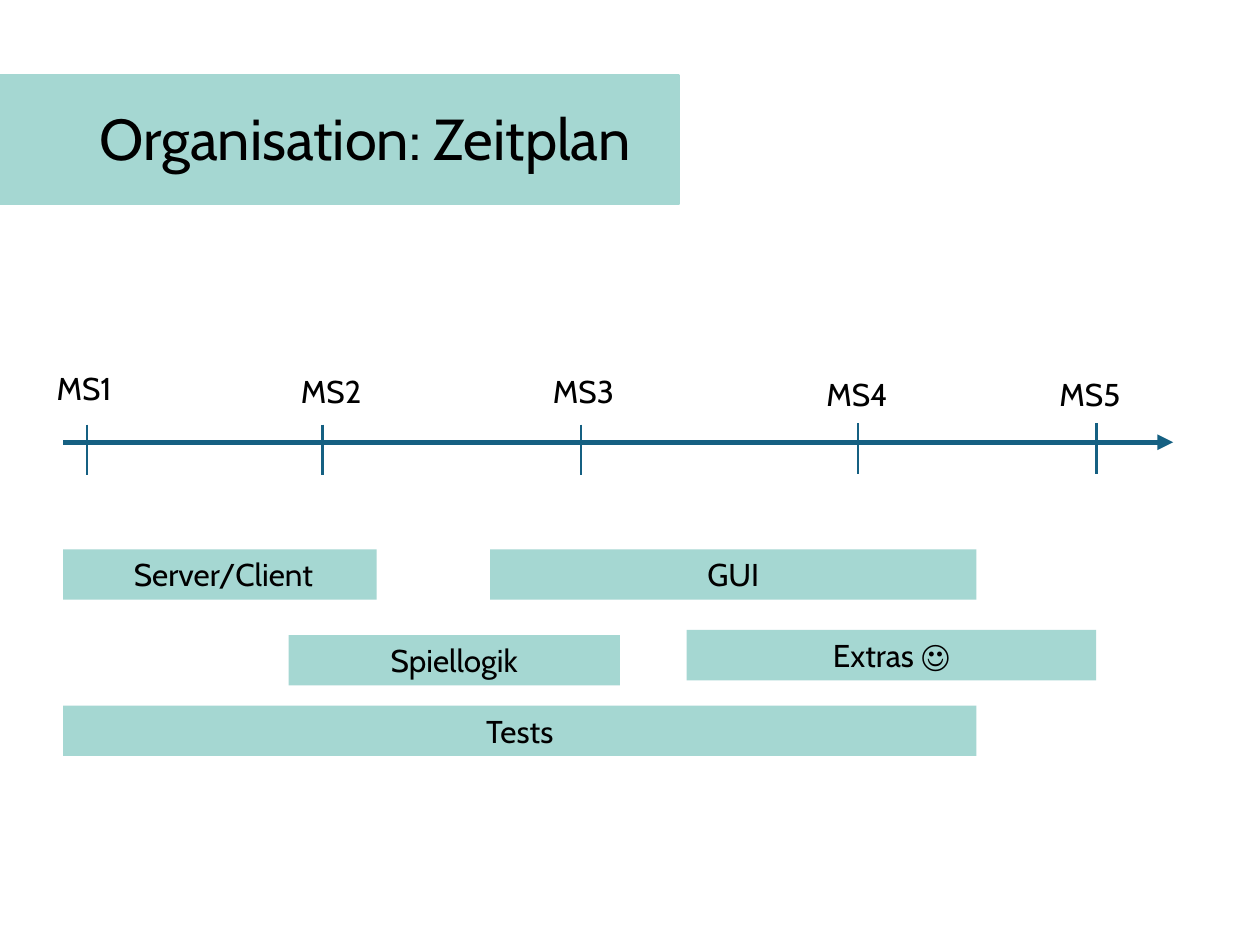
from lxml import etree
from pptx import Presentation
from pptx.dml.color import RGBColor
from pptx.enum.shapes import MSO_CONNECTOR, MSO_SHAPE
from pptx.enum.text import MSO_ANCHOR, MSO_AUTO_SIZE, PP_ALIGN
from pptx.oxml.ns import qn
from pptx.util import Inches, Pt

RECTANGLE = MSO_SHAPE.RECTANGLE
STRAIGHT = MSO_CONNECTOR.STRAIGHT
TOP, MIDDLE = MSO_ANCHOR.TOP, MSO_ANCHOR.MIDDLE
LEFT, CENTER = PP_ALIGN.LEFT, PP_ALIGN.CENTER
GROW = MSO_AUTO_SIZE.SHAPE_TO_FIT_TEXT

COLORS = {"mint": "A5D7D2", "axis": "156082", "text": "000000"}
FONT = "Cabin"
COLUMNS, ROWS = 100, 75
SLIDE_WIDTH, SLIDE_HEIGHT = Inches(10), Inches(7.5)

AXIS_START, AXIS_END, AXIS_ROW = 5, 93.1, 35.1
TICK_HEIGHT = 4
BAR_HEIGHT = 4

MILESTONES = [
    ("MS1", 6.9, 33.7, 3.5, 28.8, 7.1),
    ("MS2", 25.6, 33.7, 22.9, 29, 7),
    ("MS3", 46.1, 33.7, 42.9, 29, 7),
    ("MS4", 68.1, 33.6, 64.6, 29.3, 7),
    ("MS5", 87, 33.6, 83.1, 29.3, 7.9),
]
TASKS = [
    (" Server/Client", 5, 29.9, 43.6),
    ("Spiellogik", 22.9, 49.2, 50.4),
    ("GUI", 38.9, 77.5, 43.6),
    ("Tests", 5, 77.5, 56),
    ("Extras ☺", 54.5, 87, 50),
]


def color(key):
    return RGBColor.from_string(COLORS[key])


def col(count):
    return round(SLIDE_WIDTH * count / COLUMNS)


def row(count):
    return round(SLIDE_HEIGHT * count / ROWS)


def cell_box(left, top, width, height):
    return col(left), row(top), col(width), row(height)


def write(frame, wording, size, align=LEFT, anchor=TOP):
    frame.word_wrap = True
    frame.vertical_anchor = anchor
    paragraph = frame.paragraphs[0]
    paragraph.alignment = align
    run = paragraph.add_run()
    run.text = wording
    run.font.name = FONT
    run.font.size = Pt(size)
    run.font.color.rgb = color("text")
    return paragraph


def add_block(slide, box):
    block = slide.shapes.add_shape(RECTANGLE, *box)
    block.shadow.inherit = False
    block.fill.solid()
    block.fill.fore_color.rgb = color("mint")
    block.line.fill.background()
    return block


def add_title(slide, wording):
    band = add_block(slide, cell_box(0, 6, 53.9, 10.2))
    band.line.color.rgb = color("mint")
    band.line.width = Pt(1.5)
    title = slide.shapes.add_textbox(*cell_box(6.9, 4, 86.2, 14.5))
    write(title.text_frame, wording, 33, anchor=MIDDLE).line_spacing = 0.9


def add_line(slide, start, end, width):
    line = slide.shapes.add_connector(
        STRAIGHT, col(start[0]), row(start[1]), col(end[0]), row(end[1]))
    line.line.color.rgb = color("axis")
    line.line.width = Pt(width)
    etree.SubElement(line._element.spPr, qn("a:effectLst"))
    return line


def add_time_axis(slide):
    axis = add_line(slide, (AXIS_START, AXIS_ROW), (AXIS_END, AXIS_ROW), 3)
    etree.SubElement(axis.line._get_or_add_ln(), qn("a:tailEnd"), type="triangle")


def add_milestone(slide, name, tick, tick_top, left, top, width):
    add_line(slide, (tick, tick_top), (tick, tick_top + TICK_HEIGHT), 1.5)
    label = slide.shapes.add_textbox(*cell_box(left, top, width, 4))
    write(label.text_frame, name, 18)
    label.text_frame.auto_size = GROW


def add_task(slide, name, start, end, top):
    bar = add_block(slide, cell_box(start, top, end - start, BAR_HEIGHT))
    write(bar.text_frame, name, 18, CENTER)
    bar.text_frame.auto_size = GROW


def main():
    deck = Presentation()
    deck.slide_width, deck.slide_height = SLIDE_WIDTH, SLIDE_HEIGHT
    slide = deck.slides.add_slide(deck.slide_layouts[6])
    add_title(slide, "Organisation: Zeitplan")
    add_time_axis(slide)
    for milestone in MILESTONES:
        add_milestone(slide, *milestone)
    for task in TASKS:
        add_task(slide, *task)
    deck.save("out.pptx")


if __name__ == "__main__":
    main()
